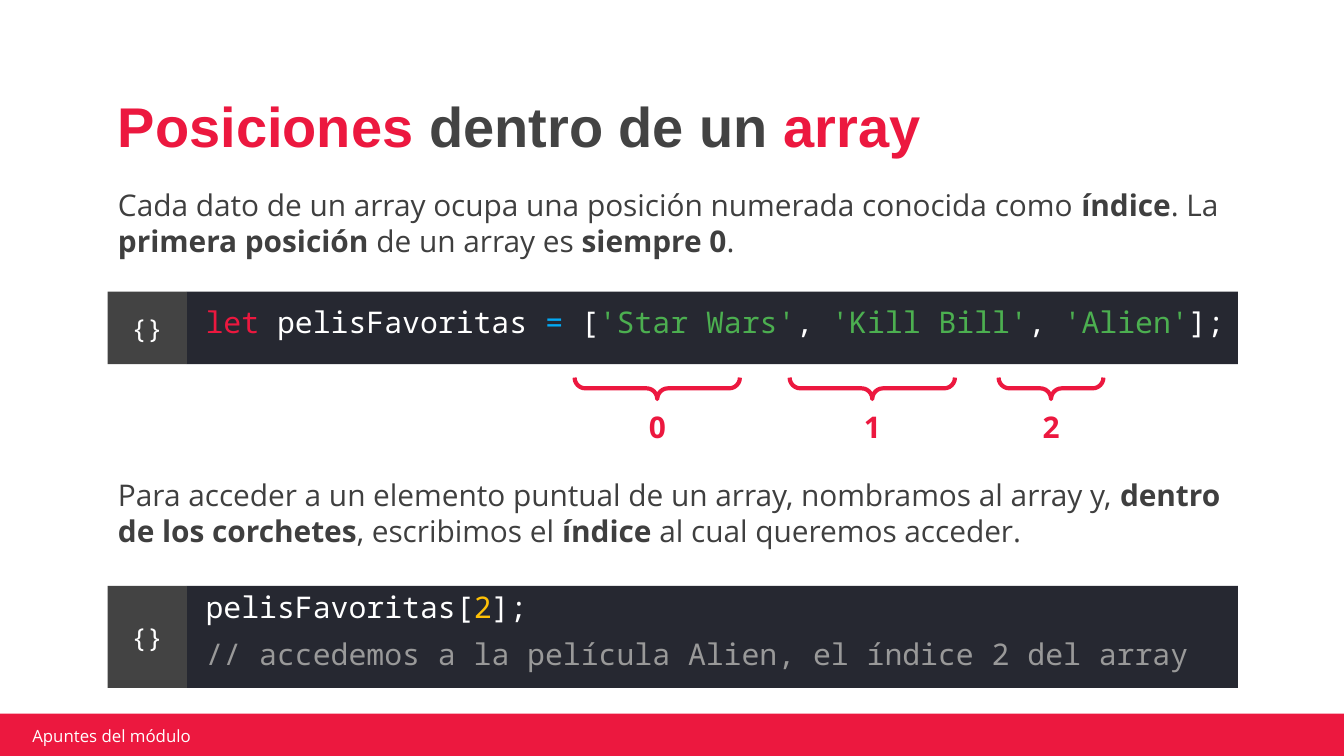
import pptx
import pptx.dml.color
import pptx.enum.shapes
import pptx.enum.text
import pptx.util

Inches = pptx.util.Inches
RGBColor = pptx.dml.color.RGBColor
SHAPE = pptx.enum.shapes.MSO_SHAPE
ANCHOR = pptx.enum.text.MSO_ANCHOR
CENTER = pptx.enum.text.PP_ALIGN.CENTER

RED = RGBColor(0xEC, 0x18, 0x3F)
GRAY = RGBColor(0x43, 0x43, 0x43)
BODY_GRAY = RGBColor(0x3F, 0x3F, 0x3F)
CODE_DARK = RGBColor(0x26, 0x28, 0x31)
WHITE = RGBColor(0xFF, 0xFF, 0xFF)
BLUE = RGBColor(0x03, 0xA9, 0xF4)
GREEN = RGBColor(0x4C, 0xAF, 0x50)
AMBER = RGBColor(0xFF, 0xC1, 0x07)
COMMENT_GRAY = RGBColor(0x99, 0x99, 0x99)

TITLE = {"name": "Arial", "size": pptx.util.Pt(30), "bold": True}
BODY = {"name": "Open Sans", "size": pptx.util.Pt(16)}
INDEX = {**BODY, "bold": True}
CODE = {"name": "Noto Sans Mono", "size": pptx.util.Pt(16)}
BADGE = {**CODE, "size": pptx.util.Pt(14)}
FOOTER = {"name": "Open Sans", "size": pptx.util.Pt(9)}


def write(shape, lines, style, anchor=ANCHOR.TOP, insets=(0.1, 0.1, 0.1, 0.1), **layout):
    """Fill a shape with lines of (text, colour, bold) spans; bold is optional."""
    frame = shape.text_frame
    settings = {"word_wrap": True, "vertical_anchor": anchor}
    sides = ("margin_left", "margin_top", "margin_right", "margin_bottom")
    settings.update(zip(sides, map(Inches, insets)))
    for key, value in settings.items():
        setattr(frame, key, value)
    for number, spans in enumerate(lines):
        para = frame.add_paragraph() if number else frame.paragraphs[0]
        para_format = {"alignment": pptx.enum.text.PP_ALIGN.LEFT, **layout}
        if number:
            para_format["space_before"] = pptx.util.Pt(6)
        for key, value in para_format.items():
            setattr(para, key, value)
        for text, color, *bold in spans:
            span = para.add_run()
            span.text = text
            for key, value in {"bold": bool(bold and bold[0]), **style}.items():
                setattr(span.font, key, value)
            span.font.color.rgb = color


def add_text(page, box, lines, style, **layout):
    write(page.shapes.add_textbox(*map(Inches, box)), lines, style, **layout)


def add_block(page, box, color):
    block = page.shapes.add_shape(SHAPE.RECTANGLE, *map(Inches, box))
    block.shadow.inherit = False
    block.fill.solid()
    block.fill.fore_color.rgb = color
    block.line.fill.background()
    return block


def add_paragraph_text(page, box, pieces):
    """Body text whose every second piece is bold."""
    spans = [(text, BODY_GRAY, number % 2 == 1) for number, text in enumerate(pieces)]
    add_text(page, box, [spans], BODY)


def add_code(page, box, lines):
    """Dark code panel with a braces badge on its left."""
    left, top, width, height = box
    badge_width = 0.59
    panel = add_block(page, (left + badge_width, top, width - badge_width, height), CODE_DARK)
    write(panel, lines, CODE, ANCHOR.MIDDLE, (0.14, 0, 0.05, 0.1))
    badge = add_block(page, (left, top, badge_width, height), GRAY)
    write(badge, [[("{}", WHITE)]], BADGE, ANCHOR.MIDDLE, alignment=CENTER)


def add_index(page, box, number):
    """Downward brace across the top of the box, index number below it."""
    left, top, width, height = box
    depth, label_width, label_height = 0.16, 0.32, 0.33
    center = left + width / 2
    # The brace is drawn upright about its centre, then turned
    brace = page.shapes.add_shape(
        SHAPE.RIGHT_BRACE,
        *map(Inches, (center - depth / 2, top + depth / 2 - width / 2, depth, width)))
    brace.rotation = 90
    brace.adjustments[0] = brace.adjustments[1] = 0.5
    brace.shadow.inherit = False
    brace.fill.background()
    brace.line.color.rgb = RED
    brace.line.width = pptx.util.Pt(2.25)
    label = (center - label_width / 2, top + height - label_height, label_width, label_height)
    add_text(page, label, [[(str(number), RED)]], INDEX, anchor=ANCHOR.MIDDLE, alignment=CENTER)


def add_footer(page, box):
    left, top, width, height = box
    add_block(page, box, RED)
    add_text(page, (left + 0.21, top + 0.09, 2.39, 0.15), [[("Apuntes del módulo", WHITE)]],
             FOOTER, anchor=ANCHOR.MIDDLE, insets=(0.05, 0.02, 0.05, 0.02))


def main():
    deck = pptx.Presentation()
    deck.slide_width, deck.slide_height = Inches(10), Inches(10 * 9 / 16)
    page = deck.slides.add_slide(deck.slide_layouts[6])
    text_left, text_width = 0.78, 8.43
    code_left, code_width = 0.8, 8.41

    # Title
    add_text(page, (text_left, 0.6, text_width, 0.69),
             [[("Posiciones ", RED, True), ("dentro de un ", GRAY, True), ("array", RED, True)]],
             TITLE, anchor=ANCHOR.BOTTOM, line_spacing=0.9)

    # Array declaration with its indexes
    add_paragraph_text(page, (text_left, 1.29, text_width, 0.53), [
        "Cada dato de un array ocupa una posición numerada conocida como ", "índice",
        ". La ", "primera posición", " de un array es ", "siempre 0", "."])
    add_code(page, (code_left, 2.17, code_width, 0.54), [[
        ("let", RED), (" pelisFavoritas ", WHITE), ("=", BLUE), (" [", WHITE),
        ("'Star Wars'", GREEN), (", ", WHITE), ("'Kill Bill'", GREEN), (", ", WHITE),
        ("'Alien'", GREEN), ("];", WHITE)]])
    for number, (center, width) in enumerate([(4.89, 1.23), (6.49, 1.23), (7.82, 0.78)]):
        add_index(page, (center - width / 2, 2.81, width, 0.53), number)

    # Access to one element
    add_paragraph_text(page, (text_left, 3.45, text_width, 0.53), [
        "Para acceder a un elemento puntual de un array, nombramos al array y, ",
        "dentro de los corchetes", ", escribimos el ", "índice", " al cual queremos acceder."])
    add_code(page, (code_left, 4.36, code_width, 0.76), [
        [("pelisFavoritas[", WHITE), ("2", AMBER), ("];", WHITE)],
        [("// accedemos a la película Alien, el índice 2 del array", COMMENT_GRAY)]])

    # Footer band, bleeding slightly past the page edges
    add_footer(page, (-0.02, 5.31, 10.03, 0.36))
    deck.save("out.pptx")


if __name__ == "__main__":
    main()
